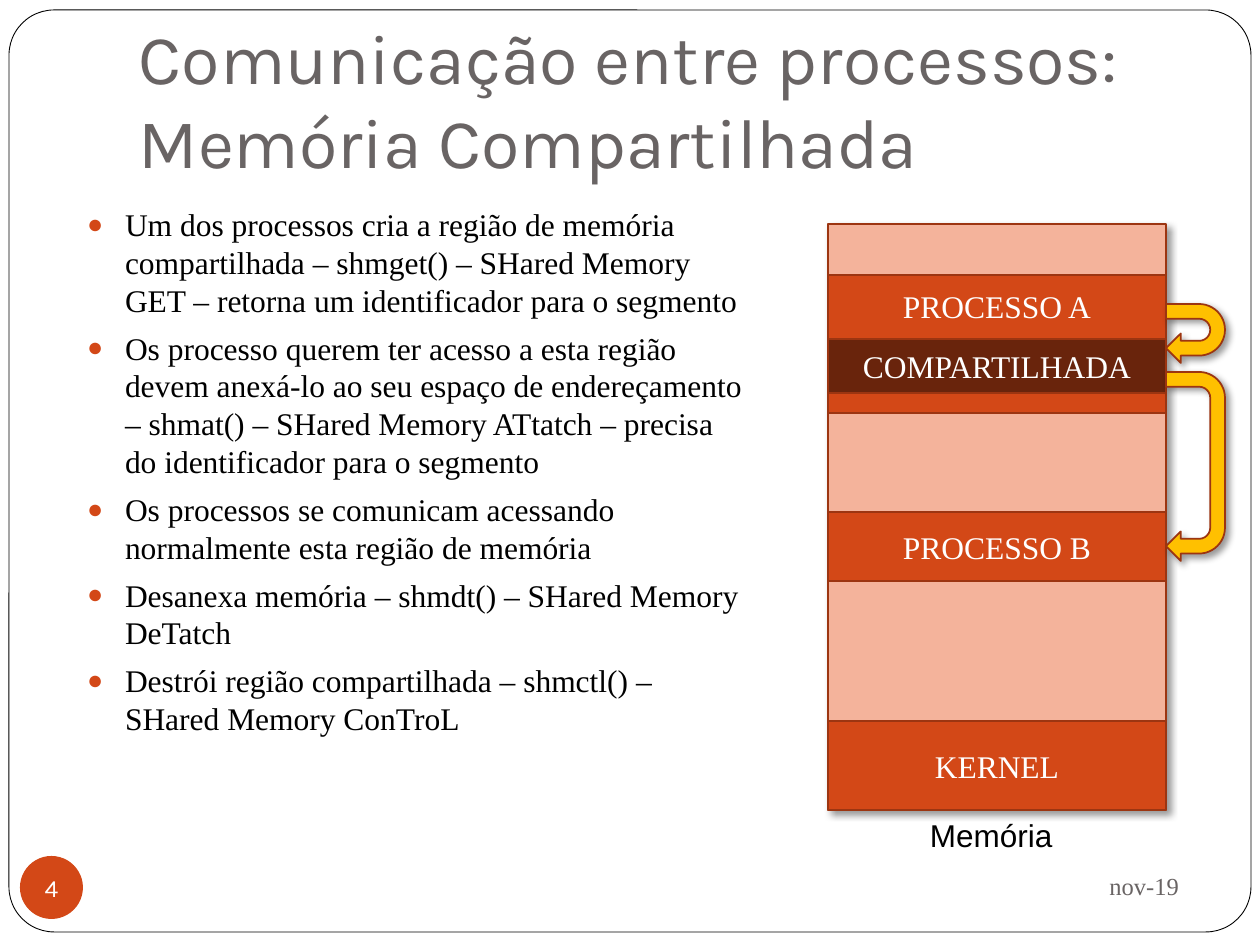
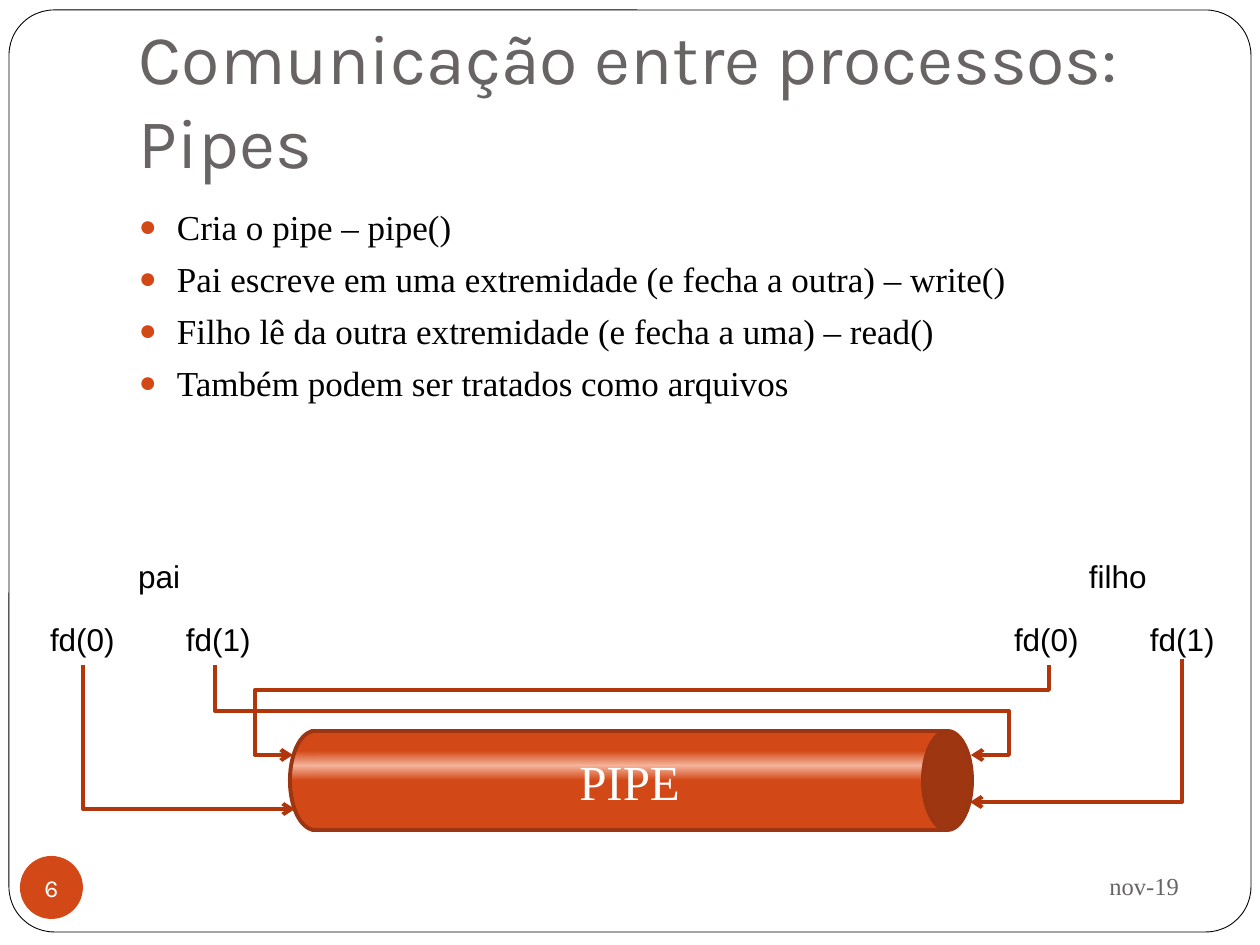
import math

import lxml.etree
import pptx
import pptx.dml.color
import pptx.enum.shapes
import pptx.enum.text
import pptx.oxml.ns
import pptx.util

EMU_PER_PX = 914400 / 126
SHAPES = pptx.enum.shapes.MSO_SHAPE
ALIGN = pptx.enum.text.PP_ALIGN
ANCHOR = pptx.enum.text.MSO_ANCHOR
qn = pptx.oxml.ns.qn

COLORS = {
    "white": "FFFFFF", "black": "000000", "gray": "696464",
    "orange": "D34817", "salmon": "F4B39B", "brown": "69240C",
    "edge": "9C3511", "pipe_end": "9E3611", "wire": "B1360B", "gold": "FFC000",
}
SERIF, SANS, DISPLAY = "Times New Roman", "Arial", "Karla"


def px(length):
    return pptx.util.Emu(round(length * EMU_PER_PX))


def rgb(name):
    return pptx.dml.color.RGBColor.from_string(COLORS[name])


def add_node(parent, tag, **attributes):
    node = lxml.etree.SubElement(parent, qn(tag))
    for name, value in attributes.items():
        node.set(name, str(value))
    return node


# Text
def write_text(shape, paragraphs, size, font, color, align=ALIGN.LEFT,
               anchor=ANCHOR.TOP, insets=(13, 6, 13, 6), wrap=True):
    """Write paragraphs; a line feed inside one becomes a line break."""
    frame = shape.text_frame
    frame.word_wrap = wrap
    frame.vertical_anchor = anchor
    frame.margin_left, frame.margin_top, frame.margin_right, frame.margin_bottom = map(px, insets)
    for index, text in enumerate(paragraphs):
        paragraph = frame.add_paragraph() if index else frame.paragraphs[0]
        paragraph.alignment = align
        paragraph.line_spacing = pptx.util.Pt(size * 1.2)
        for line_index, line in enumerate(text.split("\n")):
            if line_index:
                paragraph.add_line_break()
            run = paragraph.add_run()
            run.text = line
            run.font.size = pptx.util.Pt(size)
            run.font.name = font
            run.font.color.rgb = rgb(color)


def add_text(slide, box, paragraphs, size, font, color, **layout):
    shape = slide.shapes.add_textbox(*map(px, box))
    write_text(shape, paragraphs, size, font, color, **layout)
    return shape


def add_label(slide, box, text):
    label = add_text(slide, box, [text], 18, SANS, "black", wrap=False)
    label.text_frame.auto_size = pptx.enum.text.MSO_AUTO_SIZE.SHAPE_TO_FIT_TEXT


def add_bullets(slide, box, items, size):
    shape = add_text(slide, box, items, size, SERIF, "black")
    for paragraph in shape.text_frame.paragraphs:
        paragraph.space_before = pptx.util.Pt(5.8)
        properties = paragraph._p.get_or_add_pPr()
        properties.set("marL", str(px(38)))
        properties.set("indent", str(-px(38)))
        bullet_color = add_node(properties, "a:buClr")
        add_node(bullet_color, "a:srgbClr", val=COLORS["orange"])
        add_node(properties, "a:buSzPct", val=85000)
        add_node(properties, "a:buFont", typeface=SANS)
        add_node(properties, "a:buChar", char="●")


# Shapes and lines
def style_shape(shape, fill, line, width):
    shape.shadow.inherit = False
    if fill:
        shape.fill.solid()
        shape.fill.fore_color.rgb = rgb(fill)
    else:
        shape.fill.background()
    if line:
        shape.line.color.rgb = rgb(line)
        shape.line.width = pptx.util.Pt(width)
    else:
        shape.line.fill.background()


def add_shape(slide, kind, box, fill, line="edge", width=1, adjustments=()):
    shape = slide.shapes.add_shape(kind, *map(px, box))
    style_shape(shape, fill, line, width)
    for index, value in enumerate(adjustments):
        shape.adjustments[index] = value
    return shape


def add_outline(slide, points, fill, line):
    """Open outline; points are converted first so that curves stay smooth."""
    points = [(px(x), px(y)) for x, y in points]
    builder = slide.shapes.build_freeform(*points[0])
    builder.add_line_segments(points[1:], close=False)
    shape = builder.convert_to_shape()
    style_shape(shape, fill, line, 2.25)
    return shape


def add_shadow(shape):
    effects = shape.element.spPr.find(qn("a:effectLst"))
    shadow = add_node(effects, "a:outerShdw", blurRad=pptx.util.Pt(4),
                      dist=pptx.util.Pt(3), dir=45 * 60000, algn="tl", rotWithShape=0)
    color = add_node(shadow, "a:srgbClr", val=COLORS["black"])
    add_node(color, "a:alpha", val=40000)


def add_sheen(shape):
    """Fill with a light streak across the upper half."""
    solid = shape.element.spPr.find(qn("a:solidFill"))
    gradient = lxml.etree.Element(qn("a:gradFill"), rotWithShape="1")
    stops = add_node(gradient, "a:gsLst")
    for percent, color in ((20, "orange"), (35, "salmon"), (50, "orange")):
        stop = add_node(stops, "a:gs", pos=percent * 1000)
        add_node(stop, "a:srgbClr", val=COLORS[color])
    add_node(gradient, "a:lin", ang=90 * 60000, scaled=0)
    solid.getparent().replace(solid, gradient)


def add_arrowhead(shape):
    add_node(shape.line._get_or_add_ln(), "a:tailEnd", type="arrow")


def add_corner_arrow(slide, start, end):
    """Arrow that runs down from start, then sideways to end."""
    center_x, center_y = (start[0] + end[0]) / 2, (start[1] + end[1]) / 2
    half_width, half_height = (end[1] - start[1]) / 2, abs(end[0] - start[0]) / 2
    side = 1 if end[0] > start[0] else -1
    connector = slide.shapes.add_connector(
        pptx.enum.shapes.MSO_CONNECTOR.ELBOW,
        px(center_x + side * half_width), px(center_y - half_height),
        px(center_x - side * half_width), px(center_y + half_height))
    properties = connector.element.spPr
    properties.find(qn("a:xfrm")).set("rot", str((270 if side > 0 else 90) * 60000))
    properties.find(qn("a:prstGeom")).set("prst", "bentConnector2")
    connector.line.color.rgb = rgb("wire")
    connector.line.width = pptx.util.Pt(2.25)
    add_arrowhead(connector)
    add_node(properties, "a:effectLst")


# Shared page
def add_page(presentation, title, number):
    slide = presentation.slides.add_slide(presentation.slide_layouts[6])
    add_shape(slide, SHAPES.ROUNDED_RECTANGLE, (9, 10, 1242, 922), "white", "black", 0.5, [0.049])
    add_text(slide, (126, 38, 1071, 157), [title], 40, DISPLAY, "gray",
             anchor=ANCHOR.BOTTOM, insets=(13, 6, 13, 13))
    add_text(slide, (850, 853, 342, 66), ["nov-19"], 14, SERIF, "gray",
             align=ALIGN.RIGHT, anchor=ANCHOR.MIDDLE)
    badge = add_shape(slide, SHAPES.OVAL, (20, 856, 63, 63), "orange", None)
    write_text(badge, [number], 14, DISPLAY, "white", align=ALIGN.CENTER,
               anchor=ANCHOR.MIDDLE, insets=(0, 0, 0, 0), wrap=False)
    return slide


def add_memory_block(slide, top, height, text, fill="orange", **layout):
    block = add_shape(slide, SHAPES.RECTANGLE, (828, top, 338, height), fill)
    write_text(block, [text], 18, SERIF, "white", align=ALIGN.CENTER,
               **{"anchor": ANCHOR.MIDDLE, **layout})


def build_shared_memory(presentation):
    slide = add_page(presentation, "Comunicação entre processos: Memória Compartilhada", "4")
    # Memory map
    memory = add_shape(slide, SHAPES.RECTANGLE, (828, 224, 338, 586), "salmon")
    add_shadow(memory)
    add_label(slide, (917, 810, 149, 50), "Memória")
    add_memory_block(slide, 721, 89, "KERNEL")
    add_memory_block(slide, 275, 138, "PROCESSO A", anchor=ANCHOR.TOP, insets=(13, 12, 13, 6))
    add_memory_block(slide, 512, 69, "PROCESSO B")
    add_memory_block(slide, 339, 54, "COMPARTILHADA", "brown")
    add_bullets(slide, (74, 199, 684, 680), [
        "Um dos processos cria a região de memória compartilhada – shmget() – "
        "SHared Memory GET – retorna um identificador para o segmento",
        "Os processo querem ter acesso a esta região devem anexá-lo ao seu espaço de "
        "endereçamento – shmat() – SHared Memory ATtatch – precisa do identificador "
        "para o segmento",
        "Os processos se comunicam acessando normalmente esta região de memória",
        "Desanexa memória – shmdt() – SHared Memory DeTatch",
        "Destrói região compartilhada – shmctl() – SHared Memory ConTroL",
    ], 18)
    # Arrows from the processes to the shared region
    for box in ((1166, 304, 59, 59), (1101, 437, 189, 59)):
        arrow = add_shape(slide, SHAPES.U_TURN_ARROW, box, "gold",
                          adjustments=[0.25, 0.25, 0.25, 0.44, 1])
        arrow.rotation = 90
        add_shadow(arrow)


def build_pipes(presentation):
    slide = add_page(presentation, "Comunicação entre processos:\nPipes", "6")
    add_bullets(slide, (126, 199, 1071, 333), [
        "Cria o pipe – pipe()",
        "Pai escreve em uma extremidade (e fecha a outra) – write()",
        "Filho lê da outra extremidade (e fecha a uma) – read()",
        "Também podem ser tratados como arquivos",
    ], 20)
    # Pipe: body, rounded left end, dark right end
    body = add_shape(slide, SHAPES.RECTANGLE, (312, 731, 635, 99), "orange", width=2.25)
    add_sheen(body)
    write_text(body, ["PIPE"], 28, SERIF, "white", align=ALIGN.CENTER, anchor=ANCHOR.MIDDLE)
    angles = [math.radians(degrees) for degrees in range(90, 271, 5)]
    left_end = [(315 + 25 * math.cos(angle), 780.5 + 49.5 * math.sin(angle)) for angle in angles]
    add_sheen(add_outline(slide, left_end, "orange", "edge"))
    add_shape(slide, SHAPES.OVAL, (923, 731, 49, 99), "pipe_end", width=2.25)
    # File descriptors of both processes
    for left in (37, 1001):
        for descriptor in range(2):
            add_label(slide, (left + 136 * descriptor, 614, 92, 50), f"fd({descriptor})")
    add_label(slide, (125, 551, 70, 50), "pai")
    add_label(slide, (1076, 551, 90, 50), "filho")
    # Wires
    add_corner_arrow(slide, (83, 665), (295, 809))
    add_corner_arrow(slide, (1182, 659), (970, 802))
    for start, level, far, end in ((215, 711, 1009, 971), (1049, 690, 255, 293)):
        wire = add_outline(slide, [(start, 665), (start, level), (far, level),
                                   (far, 755), (end, 755)], None, "wire")
        add_arrowhead(wire)


def main():
    presentation = pptx.Presentation()
    presentation.slide_width, presentation.slide_height = px(1260), px(945)
    build_shared_memory(presentation)
    build_pipes(presentation)
    presentation.save("out.pptx")


if __name__ == "__main__":
    main()
